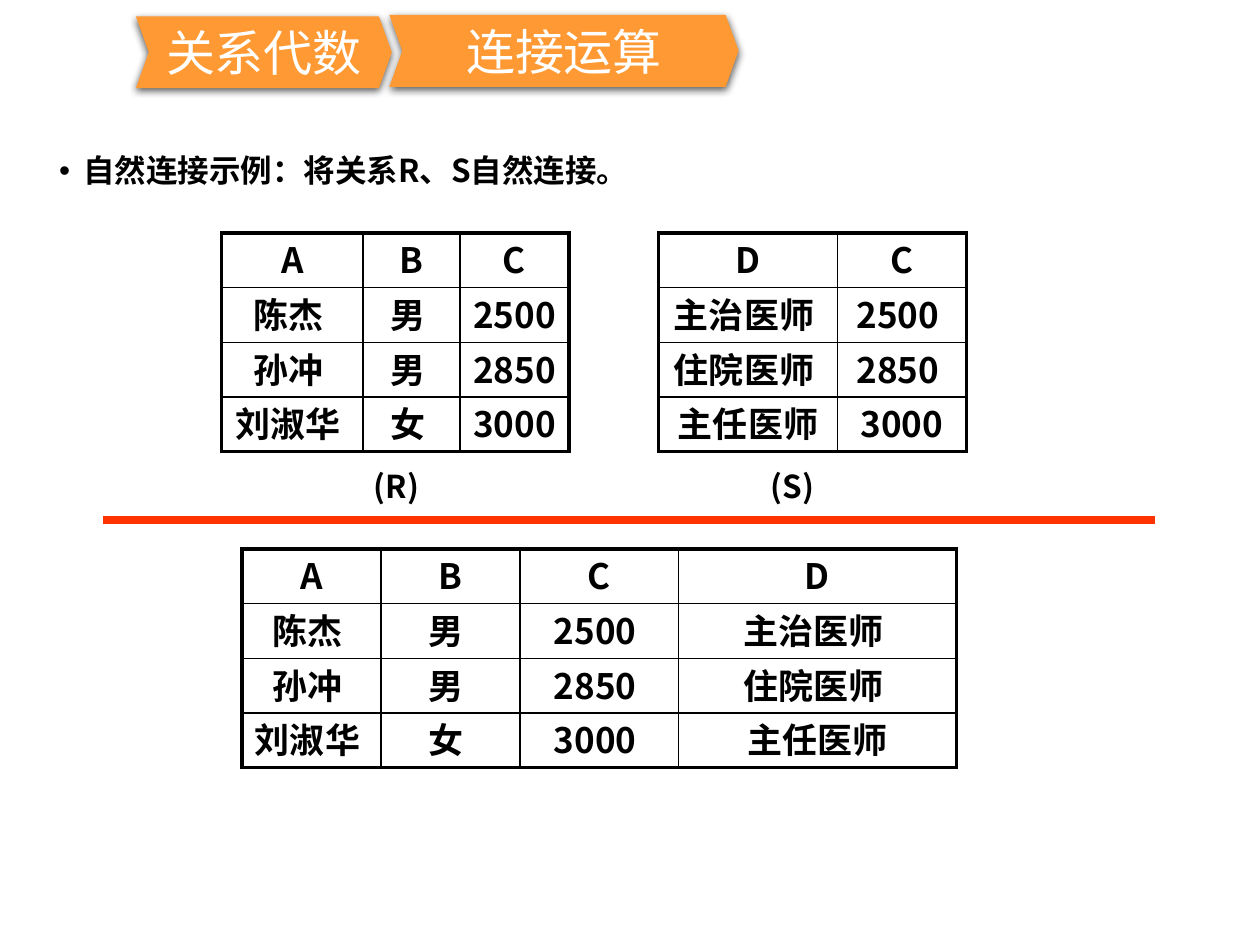
"""Build the slide on the natural join of relations R and S."""
import lxml.etree
import pptx
import pptx.dml.color
import pptx.enum.shapes
import pptx.enum.text
import pptx.oxml
import pptx.oxml.ns
import pptx.util

Cm = pptx.util.Cm
Pt = pptx.util.Pt
RGBColor = pptx.dml.color.RGBColor
Align = pptx.enum.text.PP_ALIGN
Anchor = pptx.enum.text.MSO_ANCHOR
qn = pptx.oxml.ns.qn

BLACK = RGBColor(0x00, 0x00, 0x00)
WHITE = RGBColor(0xFF, 0xFF, 0xFF)
ORANGE = RGBColor(0xFF, 0x99, 0x33)
RED = RGBColor(0xFF, 0x33, 0x00)
FONT = "Noto Sans CJK SC"
NAMESPACE = 'xmlns:a="http://schemas.openxmlformats.org/drawingml/2006/main"'


def write(frame, text, size=18, color=BLACK, bold=True, align=Align.LEFT,
          before=0, spacing=None):
    """Put formatted text in the first paragraph of a text frame."""
    paragraph = frame.paragraphs[0]
    paragraph.alignment = align
    paragraph.space_before = Pt(before)
    paragraph.line_spacing = spacing
    run = paragraph.add_run()
    run.text = text
    run.font.name = FONT
    run.font.size = Pt(size)
    run.font.bold = bold
    run.font.color.rgb = color
    east_asian = lxml.etree.SubElement(run._r.get_or_add_rPr(), qn("a:ea"))
    east_asian.set("typeface", FONT)
    return paragraph


class SlideBuilder:
    """Hold the current slide and the shared style of its elements."""

    row_height = 1.1
    outer_width = 2.25
    inner_width = 1

    def __init__(self, slide):
        """Keep the slide that receives the elements."""
        self.slide = slide

    def bullet(self, text, left, top, width, height):
        """Fill the body placeholder with one bulleted line."""
        self.slide.shapes.title._element.getparent().remove(self.slide.shapes.title._element)
        body = self.slide.placeholders[1]
        body.left, body.top, body.width, body.height = map(Cm, (left, top, width, height))
        paragraph = write(body.text_frame, text, before=3.8, spacing=0.9)
        properties = paragraph._p.get_or_add_pPr()
        properties.set("marL", str(Cm(1.42)))
        properties.set("indent", str(Cm(-0.48)))
        properties.append(pptx.oxml.parse_xml(f'<a:buChar {NAMESPACE} char="•"/>'))

    def chevron(self, text, left, top, width, height=1.45):
        """Add an orange chevron with a soft shadow."""
        shape = self.slide.shapes.add_shape(
            pptx.enum.shapes.MSO_SHAPE.CHEVRON, *map(Cm, (left, top, width, height)))
        shape.adjustments[0] = 0.18
        shape.fill.solid()
        shape.fill.fore_color.rgb = ORANGE
        shape.line.fill.background()
        shape.shadow.inherit = False
        effects = shape._element.spPr.find(qn("a:effectLst"))
        effects.append(pptx.oxml.parse_xml(
            f'<a:outerShdw {NAMESPACE} blurRad="{Pt(4.5)}" dist="{Pt(1.5)}" dir="5400000" '
            'rotWithShape="0"><a:srgbClr val="000000"><a:alpha val="63000"/></a:srgbClr>'
            '</a:outerShdw>'))
        shape.text_frame.vertical_anchor = Anchor.MIDDLE
        write(shape.text_frame, text, size=28, color=WHITE, bold=False, align=Align.CENTER)

    def table(self, rows, left, top, widths):
        """Add a relation with a heavy frame and thin inner rules."""
        last_row, last_column = len(rows) - 1, len(widths) - 1
        table = self.slide.shapes.add_table(
            len(rows), len(widths), Cm(left), Cm(top), Cm(sum(widths)),
            Cm(self.row_height * len(rows))).table
        table.first_row = table.horz_banding = False
        for column, width in zip(table.columns, widths):
            column.width = Cm(width)
        for row_index, values in enumerate(rows):
            table.rows[row_index].height = Cm(self.row_height)
            for column_index, value in enumerate(values):
                cell = table.cell(row_index, column_index)
                cell.margin_top = cell.margin_bottom = 0
                cell.fill.background()
                write(cell.text_frame, value, size=20, align=Align.CENTER, before=2)
                self.borders(cell, lnL=column_index == 0, lnR=column_index == last_column,
                             lnT=row_index == 0, lnB=row_index == last_row)

    def borders(self, cell, **sides):
        """Draw the cell borders, heavier on the outer sides."""
        properties = cell._tc.get_or_add_tcPr()
        for position, (side, outer) in enumerate(sides.items()):
            width = Pt(self.outer_width if outer else self.inner_width)
            properties.insert(position, pptx.oxml.parse_xml(
                f'<a:{side} {NAMESPACE} w="{width}"><a:solidFill>'
                f'<a:srgbClr val="{BLACK}"/></a:solidFill></a:{side}>'))

    def divider(self, start, end, top):
        """Add a thick red horizontal line."""
        line = self.slide.shapes.add_connector(
            pptx.enum.shapes.MSO_CONNECTOR.STRAIGHT, Cm(start), Cm(top), Cm(end), Cm(top))
        line.line.color.rgb = RED
        line.line.width = Pt(4.5)
        lxml.etree.SubElement(line._element.spPr, qn("a:effectLst"))

    def label(self, text, left, top, width=1.8, height=1.02):
        """Add a caption under a relation."""
        box = self.slide.shapes.add_textbox(*map(Cm, (left, top, width, height)))
        box.text_frame.word_wrap = True
        write(box.text_frame, text, before=9)


def main():
    """Create and save the presentation."""
    presentation = pptx.Presentation()
    presentation.slide_width, presentation.slide_height = Cm(25.4), Cm(19.05)
    builder = SlideBuilder(presentation.slides.add_slide(presentation.slide_layouts[1]))

    people = [("陈杰 ", "男 ", "2500 "), ("孙冲 ", "男 ", "2850 "), ("刘淑华 ", "女 ", "3000 ")]
    titles = ["主治医师 ", "住院医师 ", "主任医师"]
    relation_r = [("A", "B", "C")] + people
    relation_s = [("D", "C"), (titles[0], "2500 "), (titles[1], "2850 "), (titles[2], "3000")]
    joined = [row + (title,) for row, title in zip(relation_r, ["D"] + titles)]

    builder.bullet("自然连接示例：将关系R、S自然连接。", 0, 3, 24.84, 13.87)
    builder.chevron("关系代数", 2.74, 0.33, 5.16)
    builder.chevron("连接运算", 7.85, 0.3, 7.04)
    builder.table(joined, 4.88, 11.07, [2.8, 2.8, 3.2, 5.6])
    builder.table(relation_r, 4.47, 4.7, [2.85, 1.95, 2.2])
    builder.table(relation_s, 13.28, 4.7, [3.6, 2.6])
    builder.divider(23.29, 2.08, 10.49)
    for text, left in (("(R)", 7.29), ("(S)", 15.29)):
        builder.label(text, left, 9.3)
    presentation.save("out.pptx")


main()
